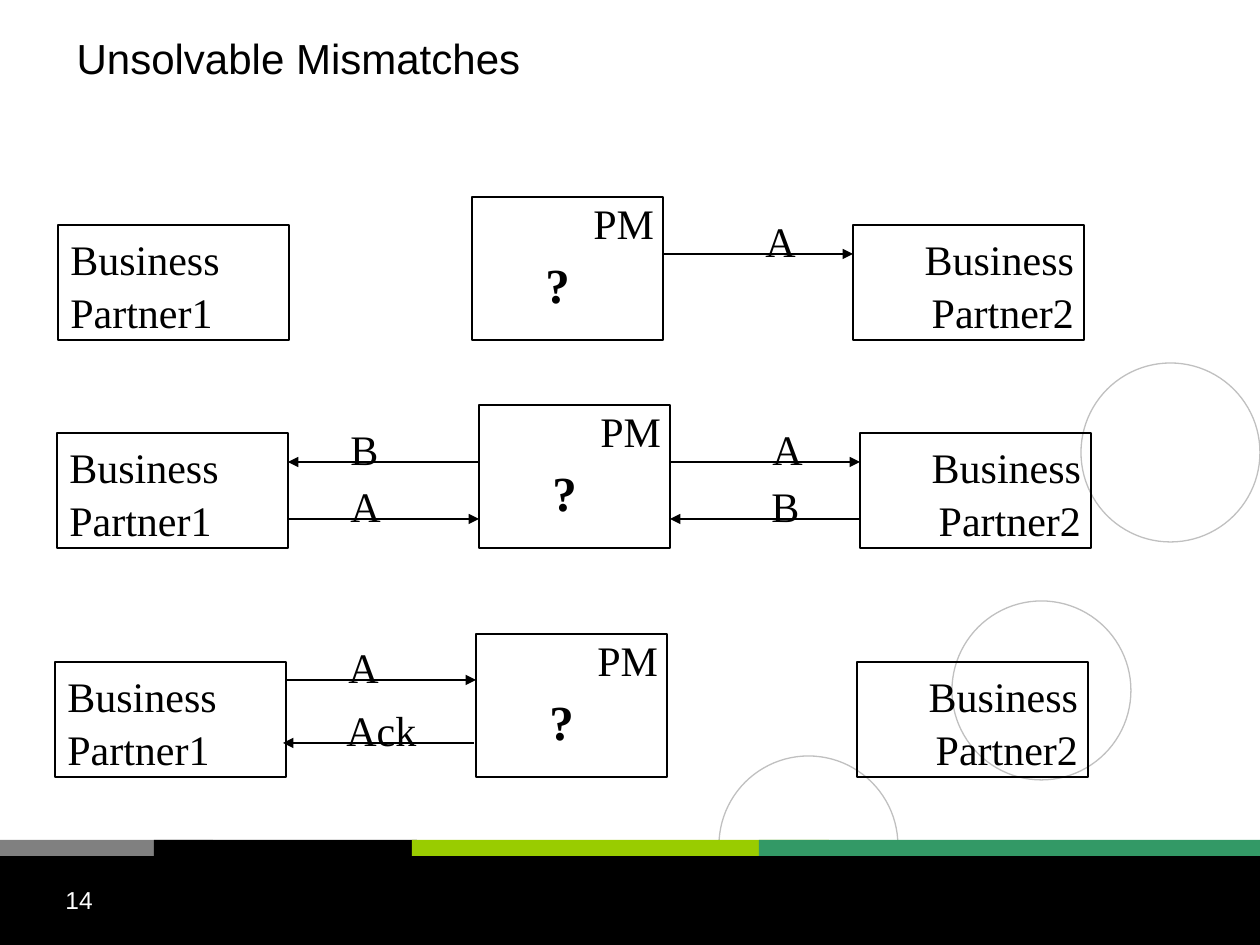
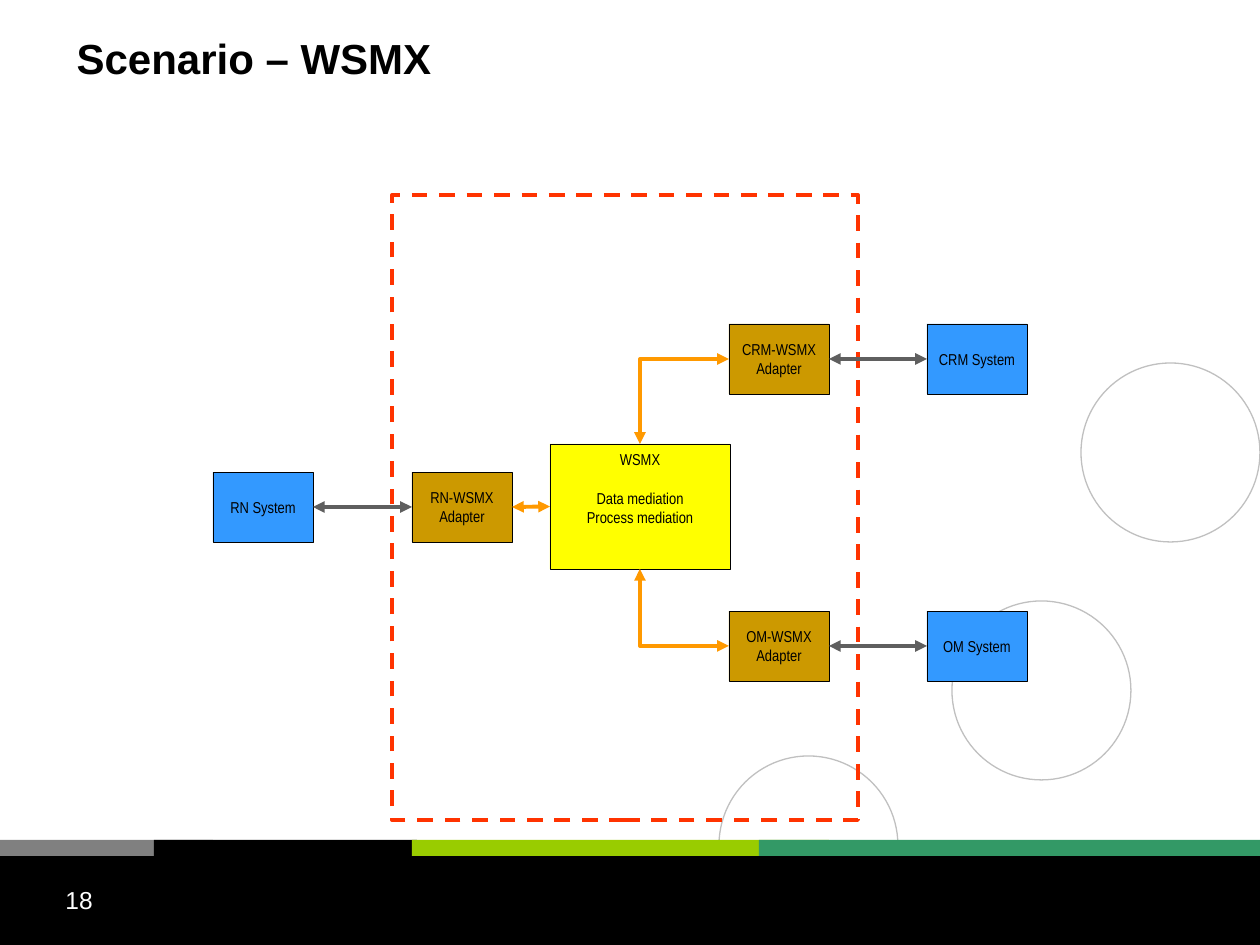
from lxml.etree import SubElement
from pptx import Presentation
from pptx.dml.color import RGBColor
from pptx.enum.dml import MSO_LINE
from pptx.enum.shapes import MSO_CONNECTOR as LINK, MSO_SHAPE as SHAPE
from pptx.enum.text import MSO_ANCHOR as ANCHOR, MSO_AUTO_SIZE as FIT, PP_ALIGN as ALIGN
from pptx.oxml.ns import qn
from pptx.util import Emu, Pt

PX_PER_INCH = 126
BLACK, WHITE, SILVER, GRAY = "000000", "FFFFFF", "C0C0C0", "808080"
LIME, GREEN = "99CC00", "339966"
RED, OCHRE, YELLOW, BLUE = "FF3300", "CC9900", "FFFF00", "3399FF"
SLATE, ORANGE = "5F5F5F", "FF9900"
SANS, NARROW, SERIF = "Arial", "Arial Narrow", "Times New Roman"

CIRCLES = [(719, 756), (952, 601), (1081, 363)]
STRIPES = [(0, 213, GRAY), (154, 263, BLACK), (412, 417, LIME), (759, 501, GREEN)]

PARTNER_W, PARTNER_H = 231, 115
MEDIATOR_W, MEDIATOR_H = 191, 143
MEDIATOR_TO_PARTNER2 = 381
LABEL_RISE = 47
NODE_W, NODE_H = 100, 70


def px(length):
    """Turn a length in px into EMU."""
    return Emu(round(length * 914400 / PX_PER_INCH))


def color(hex_string):
    """Turn a hex string into a colour."""
    return RGBColor.from_string(hex_string)


def style_text(frame, size, font, ink=BLACK, bold=False, align=ALIGN.LEFT, spacing=None):
    """Format every paragraph and run of a text frame."""
    for paragraph in frame.paragraphs:
        paragraph.alignment = align
        paragraph.line_spacing = spacing
        for run in paragraph.runs:
            run.font.size = Pt(size)
            run.font.name = font
            run.font.bold = bold
            run.font.color.rgb = color(ink)


def add_box(slide, left, top, width, height, fill=None, line=None, weight=1, kind=SHAPE.RECTANGLE):
    """Add a flat preset shape."""
    box = slide.shapes.add_shape(kind, px(left), px(top), px(width), px(height))
    box.shadow.inherit = False
    if fill:
        box.fill.solid()
        box.fill.fore_color.rgb = color(fill)
    else:
        box.fill.background()
    if line:
        box.line.color.rgb = color(line)
        box.line.width = Pt(weight)
    else:
        box.line.fill.background()
    return box


def add_label(slide, left, top, width, height, text, size=24, bold=False):
    """Add a one-line serif label."""
    label = slide.shapes.add_textbox(px(left), px(top), px(width), px(height))
    frame = label.text_frame
    frame.word_wrap = False
    frame.auto_size = FIT.SHAPE_TO_FIT_TEXT
    frame.text = text
    style_text(frame, size, SERIF, bold=bold, spacing=1.05)


def add_arrow(slide, start, end, ink, weight, ends=("tailEnd",), kind=LINK.STRAIGHT):
    """Add a connector with triangle heads at the given ends."""
    arrow = slide.shapes.add_connector(kind, *map(px, start + end))
    arrow.line.color.rgb = color(ink)
    arrow.line.width = Pt(weight)
    outline = arrow.line._get_or_add_ln()
    for end_name in ends:
        SubElement(outline, qn(f"a:{end_name}"), type="triangle")
    SubElement(arrow.element.spPr, qn("a:effectLst"))
    return arrow


def add_base(deck, heading, number, bold=False):
    """Add a slide with the shared background, title and number."""
    slide = deck.slides.add_slide(deck.slide_layouts[5])
    circles = [add_box(slide, left, top, 179, 179, line=SILVER, weight=0.75, kind=SHAPE.OVAL)
               for left, top in CIRCLES[:1]]
    add_box(slide, 0, 851, 1260, 94, fill=BLACK)
    for left, top in CIRCLES[len(circles):]:
        add_box(slide, left, top, 179, 179, line=SILVER, weight=0.75, kind=SHAPE.OVAL)
    for left, width, fill in STRIPES:
        add_box(slide, left, 840, width, 16, fill=fill)

    title = slide.shapes.title
    title.left, title.top, title.width, title.height = map(px, (64, 0, 987, 116))
    title.text_frame.text = heading
    title.text_frame.vertical_anchor = ANCHOR.MIDDLE
    style_text(title.text_frame, 24, SANS, bold=bold)

    page = slide.shapes.add_textbox(px(53), px(879), px(294), px(66))
    page.text_frame.word_wrap = True
    page.text_frame.text = number
    style_text(page.text_frame, 14, SANS, WHITE)
    return slide


def add_partner(slide, left, top, name, align):
    """Add a business partner box."""
    partner = add_box(slide, left, top, PARTNER_W, PARTNER_H, line=BLACK)
    frame = partner.text_frame
    frame.word_wrap = True
    frame.vertical_anchor = ANCHOR.TOP
    frame.margin_right = px(10)
    frame.text = name
    style_text(frame, 24, SERIF, align=align, spacing=1.05)


def add_mismatch(slide, partner_left, mediator_left, top):
    """Add two partners with the mediator between them."""
    add_partner(slide, partner_left, top + 28, "Business Partner1", ALIGN.LEFT)
    add_partner(slide, mediator_left + MEDIATOR_TO_PARTNER2, top + 28, "Business Partner2", ALIGN.RIGHT)
    add_box(slide, mediator_left, top, MEDIATOR_W, MEDIATOR_H, line=BLACK)
    add_label(slide, mediator_left + 109, top - 8, 86, 63, "PM")
    add_label(slide, mediator_left + 61, top + 48, 49, 72, "?", size=28, bold=True)


def add_message(slide, start, end, y, text, label_left, label_width=55):
    """Add a message arrow with its label."""
    add_arrow(slide, (start, y), (end, y), BLACK, 1)
    add_label(slide, label_left, y - LABEL_RISE, label_width, 63, text)


def add_node(slide, left, top, text, fill, width=NODE_W, height=NODE_H):
    """Add a filled component box with centred text."""
    node = add_box(slide, left, top, width, height, fill, BLACK, 0.25)
    frame = node.text_frame
    frame.word_wrap = False
    frame.vertical_anchor = ANCHOR.MIDDLE
    frame.text = text
    style_text(frame, 9, NARROW, align=ALIGN.CENTER)
    return node


def join(slide, source, source_side, target, target_side, ink, kind=LINK.STRAIGHT):
    """Join two nodes with a double-headed connector."""
    link = add_arrow(slide, (0, 0), (1, 1), ink, 2.25, ("headEnd", "tailEnd"), kind)
    link.begin_connect(source, source_side)
    link.end_connect(target, target_side)
    if kind == LINK.ELBOW:
        link.element.spPr.find(qn("a:prstGeom")).set("prst", "bentConnector2")


def build_mismatches(deck):
    """Build the slide on unsolvable mismatches."""
    slide = add_base(deck, "Unsolvable Mismatches", "14")
    for row in [(58, 472, 197), (57, 479, 405), (55, 476, 634)]:
        add_mismatch(slide, *row)
    messages = [
        (663, 853, 254, "A", 753),
        (479, 288, 462, "B", 338),
        (288, 479, 519, "A", 338),
        (670, 860, 462, "A", 760),
        (860, 670, 519, "B", 759),
        (286, 476, 680, "A", 336),
        (474, 283, 743, "Ack", 334, 95),
    ]
    for message in messages:
        add_message(slide, *message)


def build_scenario(deck):
    """Build the slide on the WSMX scenario."""
    slide = add_base(deck, "Scenario – WSMX", "18", bold=True)
    boundary = add_box(slide, 392, 195, 466, 625, line=RED, weight=2.25)
    boundary.line.dash_style = MSO_LINE.DASH

    wsmx = add_node(slide, 550, 444, "WSMX\nData mediation\nProcess mediation", YELLOW, 180, 125)
    wsmx.text_frame.vertical_anchor = ANCHOR.TOP
    wsmx.text_frame.paragraphs[1].space_before = Pt(11)

    partners = [("RN", 412, 213, 472), ("CRM", 729, 927, 324), ("OM", 729, 927, 611)]
    for name, adapter_left, system_left, top in partners:
        adapter = add_node(slide, adapter_left, top, f"{name}-WSMX\nAdapter", OCHRE)
        system = add_node(slide, system_left, top, f"{name} System", BLUE)
        if system_left < adapter_left:
            join(slide, system, 3, adapter, 1, SLATE)
            join(slide, adapter, 3, wsmx, 1, ORANGE)
        else:
            join(slide, adapter, 3, system, 1, SLATE)
            wsmx_side = 0 if adapter.top < wsmx.top else 2
            join(slide, adapter, 1, wsmx, wsmx_side, ORANGE, LINK.ELBOW)


def main():
    """Build and save the presentation."""
    deck = Presentation()
    deck.slide_width, deck.slide_height = px(1260), px(945)
    build_mismatches(deck)
    build_scenario(deck)
    deck.save("out.pptx")


if __name__ == "__main__":
    main()
